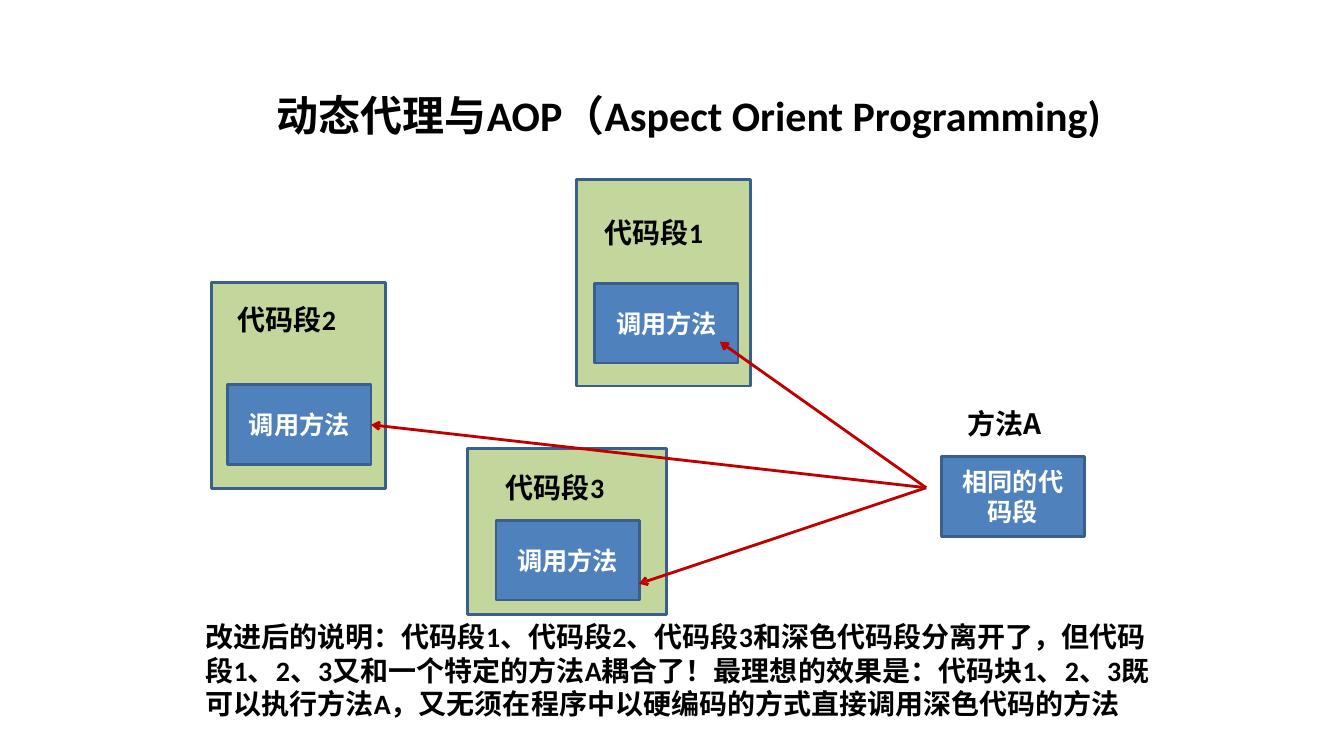
from dataclasses import dataclass

from lxml import etree
from pptx import Presentation
from pptx.dml.color import RGBColor
from pptx.enum.shapes import MSO_CONNECTOR, MSO_SHAPE
from pptx.enum.text import MSO_ANCHOR, MSO_AUTO_SIZE, PP_ALIGN
from pptx.oxml.ns import qn
from pptx.shapes.autoshape import Shape
from pptx.shapes.connector import Connector
from pptx.slide import Slide
from pptx.text.text import TextFrame
from pptx.util import Cm, Pt

RECTANGLE = MSO_SHAPE.RECTANGLE
STRAIGHT = MSO_CONNECTOR.STRAIGHT
CENTER = PP_ALIGN.CENTER
MIDDLE = MSO_ANCHOR.MIDDLE
GROW_TO_TEXT = MSO_AUTO_SIZE.SHAPE_TO_FIT_TEXT
RIGHT_SIDE = 3

COLORS = {
    "segment": "C3D69B",
    "method": "4F81BD",
    "border": "3A5F8C",
    "arrow": "C00000",
    "dark_text": "000000",
    "light_text": "FFFFFF",
}
LATIN_FONT = "Calibri"
CHINESE_FONT = "Noto Sans CJK SC"
LINE_WIDTH = Pt(2)
METHOD_WIDTH, METHOD_HEIGHT = 3.61, 2.01
LABEL_HEIGHT = 1.12
ARROW_ORIGIN = (23.34, 12.29)


@dataclass(frozen=True)
class Box:
    """A rectangle in centimetres."""
    left: float
    top: float
    width: float
    height: float

    def lengths(self) -> tuple[Cm, Cm, Cm, Cm]:
        return Cm(self.left), Cm(self.top), Cm(self.width), Cm(self.height)


@dataclass(frozen=True)
class Segment:
    """A code segment, its method call and the point its arrow reaches."""
    label: str
    box: Box
    label_top: float
    call_left: float
    call_top: float
    arrow_tip: tuple[float, float]
    joined: bool = False


SEGMENTS = (
    Segment("代码段2", Box(5.33, 7.11, 4.39, 5.21), 7.49, 5.74, 9.7, (9.35, 10.7), True),
    Segment("代码段1", Box(14.53, 4.52, 4.39, 5.21), 5.31, 14.99, 7.14, (18.14, 8.61)),
    Segment("代码段3", Box(11.79, 11.3, 5, 4.19), 11.73, 12.5, 13.11, (16.1, 14.71)),
)
TITLE = "动态代理与AOP（Aspect Orient Programming)"
EXPLANATION = (
    "改进后的说明：代码段1、代码段2、代码段3和深色代码段分离开了，"
    "但代码段1、2、3又和一个特定的方法A耦合了！最理想的效果是："
    "代码块1、2、3既可以执行方法A，又无须在程序中以硬编码的方式直接调用深色代码的方法"
)


def color(name: str) -> RGBColor:
    return RGBColor.from_string(COLORS[name])


def write(frame: TextFrame, text: str, size: float, color_name: str, font_name: str) -> None:
    frame.text = text
    frame.word_wrap = True
    run = frame.paragraphs[0].runs[0]
    run.font.size = Pt(size)
    run.font.bold = True
    run.font.name = font_name
    run.font.color.rgb = color(color_name)
    east_asian = etree.Element(qn("a:ea"), typeface=CHINESE_FONT)
    run.font._element.find(qn("a:latin")).addnext(east_asian)


def add_text(slide: Slide, box: Box, text: str, size: float = 20,
             font_name: str = LATIN_FONT) -> None:
    frame = slide.shapes.add_textbox(*box.lengths()).text_frame
    write(frame, text, size, "dark_text", font_name)
    frame.auto_size = GROW_TO_TEXT


def add_rectangle(slide: Slide, box: Box, fill_name: str) -> Shape:
    rectangle = slide.shapes.add_shape(RECTANGLE, *box.lengths())
    rectangle.shadow.inherit = False
    rectangle.fill.solid()
    rectangle.fill.fore_color.rgb = color(fill_name)
    rectangle.line.color.rgb = color("border")
    rectangle.line.width = LINE_WIDTH
    return rectangle


def add_method(slide: Slide, left: float, top: float, text: str) -> Shape:
    method = add_rectangle(slide, Box(left, top, METHOD_WIDTH, METHOD_HEIGHT), "method")
    write(method.text_frame, text, 18, "light_text", CHINESE_FONT)
    method.text_frame.vertical_anchor = MIDDLE
    method.text_frame.paragraphs[0].alignment = CENTER
    return method


def add_arrow(slide: Slide, tip: tuple[float, float]) -> Connector:
    """Draw a line from the tip, which has the arrowhead, to the shared origin."""
    points = [Cm(value) for value in tip + ARROW_ORIGIN]
    arrow = slide.shapes.add_connector(STRAIGHT, *points)
    arrow.line.color.rgb = color("arrow")
    arrow.line.width = LINE_WIDTH
    etree.SubElement(arrow.line._get_or_add_ln(), qn("a:headEnd"), type="arrow")
    etree.SubElement(arrow._element.spPr, qn("a:effectLst"))
    return arrow


def main() -> None:
    presentation = Presentation()
    presentation.slide_width = Cm(33.87)
    presentation.slide_height = Cm(19.05)
    slide = presentation.slides.add_slide(presentation.slide_layouts[6])

    add_text(slide, Box(6.73, 2.13, 21.59, 1.55), TITLE, 30)

    calls = []
    for segment in SEGMENTS:
        add_rectangle(slide, segment.box, "segment")
        calls.append(add_method(slide, segment.call_left, segment.call_top, "调用方法"))
        label_box = Box(segment.call_left, segment.label_top, METHOD_WIDTH, LABEL_HEIGHT)
        add_text(slide, label_box, segment.label)

    for segment, call in zip(SEGMENTS, calls):
        arrow = add_arrow(slide, segment.arrow_tip)
        if segment.joined:
            arrow.begin_connect(call, RIGHT_SIDE)

    add_method(slide, 23.72, 11.51, "相同的代码段")
    add_text(slide, Box(24.13, 10.11, 2.59, LABEL_HEIGHT), "方法A", font_name=CHINESE_FONT)
    add_text(slide, Box(4.93, 15.49, 24.41, 2.82), EXPLANATION)

    presentation.save("out.pptx")


if __name__ == "__main__":
    main()
